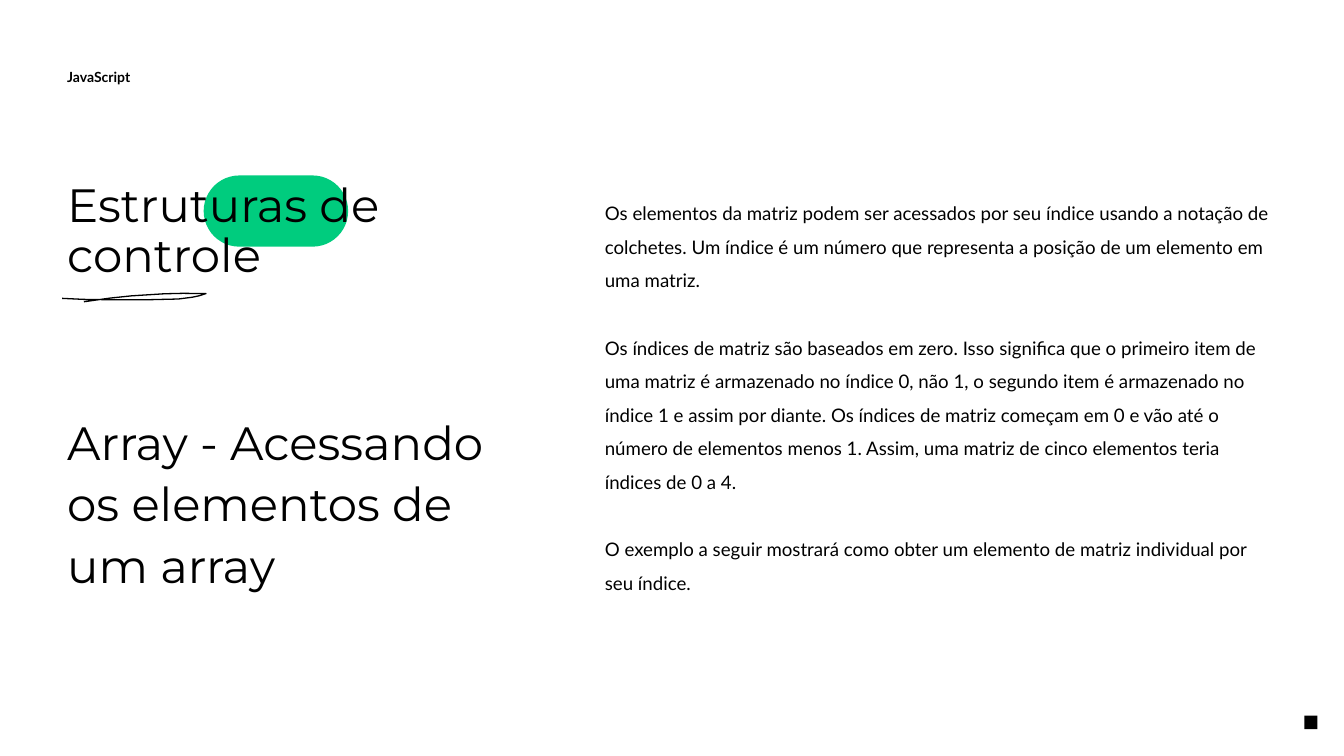
from pptx import Presentation
from pptx.dml.color import RGBColor
from pptx.enum import shapes, text
from pptx.oxml import parse_xml
from pptx.oxml.ns import nsdecls
from pptx.util import Pt

BLACK, GREEN = "000000", "00CC7E"

COURSE = ["JavaScript"]
HEADINGS = ["Estruturas de controle", "Array - Acessando os elementos de um array"]
EXPLANATION = [
    "Os elementos da matriz podem ser acessados por seu índice usando a notação de "
    "colchetes. Um índice é um número que representa a posição de um elemento em uma matriz.",
    "Os índices de matriz são baseados em zero. Isso significa que o primeiro item de uma "
    "matriz é armazenado no índice 0, não 1, o segundo item é armazenado no índice 1 e assim "
    "por diante. Os índices de matriz começam em 0 e vão até o número de elementos menos 1. "
    "Assim, uma matriz de cinco elementos teria índices de 0 a 4.",
    "O exemplo a seguir mostrará como obter um elemento de matriz individual por seu índice.",
]
UNDERLINE = [
    (66.6, 319.7), (90, 320.8), (115, 321.1), (161, 321.1), (191, 320.4),
    (206, 318.5), (214, 316.8), (220.7, 314.6), (196, 314.3), (176, 314.8),
    (141, 317), (118, 319.4), (90, 323.3),
]


def color(value):
    return RGBColor.from_string(value)


def place(shape, left, top, width, height):
    shape.left, shape.top = Pt(left), Pt(top)
    shape.width, shape.height = Pt(width), Pt(height)


def write(shape, paragraphs, font, size, spacings, gap=0, bold=False):
    """Fill a shape with unbulleted paragraphs, set apart by gap points."""
    frame = shape.text_frame
    frame.text = "\n".join(paragraphs)
    frame.word_wrap = True
    frame.auto_size = text.MSO_AUTO_SIZE.NONE
    frame.vertical_anchor = text.MSO_ANCHOR.TOP
    frame.margin_left = frame.margin_right = frame.margin_top = frame.margin_bottom = 0
    for index, (paragraph, spacing) in enumerate(zip(frame.paragraphs, spacings)):
        paragraph.alignment = text.PP_ALIGN.LEFT
        paragraph.line_spacing = spacing
        paragraph.space_before = Pt(gap if index else 0)
        paragraph.space_after = Pt(0)
        properties = paragraph._p.get_or_add_pPr()
        properties.set("marL", "0")
        properties.set("indent", "0")
        properties.append(parse_xml(f"<a:buNone {nsdecls('a')}/>"))
        paragraph.font.name = font
        paragraph.font.size = Pt(size)
        paragraph.font.bold = bold
        paragraph.font.color.rgb = color(BLACK)


def add_block(slide, kind, box, fill):
    block = slide.shapes.add_shape(kind, *map(Pt, box))
    block.shadow.inherit = False
    block.fill.solid()
    block.fill.fore_color.rgb = color(fill)
    block.line.fill.background()
    return block


def add_underline(slide, points):
    start, *rest = [(Pt(x), Pt(y)) for x, y in points]
    builder = slide.shapes.build_freeform(*start)
    builder.add_line_segments(rest, close=False)
    stroke = builder.convert_to_shape()
    stroke.shadow.inherit = False
    stroke.fill.background()
    stroke.line.color.rgb = color(BLACK)
    stroke.line.width = Pt(1.4)


def main():
    deck = Presentation()
    deck.slide_width, deck.slide_height = Pt(1440), Pt(810)
    slide = deck.slides.add_slide(deck.slide_layouts[1])
    title, body = slide.placeholders

    highlight = add_block(slide, shapes.MSO_SHAPE.ROUNDED_RECTANGLE,
                          (218.2, 188, 154.8, 76.3), GREEN)
    highlight.adjustments[0] = 0.5
    title._element.addprevious(highlight._element)  # behind the heading

    place(title, 72, 195, 504, 442)
    write(title, HEADINGS, "Montserrat", 50, [0.9, 1.1], gap=134)
    place(body, 648, 204.5, 720, 400)
    write(body, EXPLANATION, "Lato", 20, [1.5] * len(EXPLANATION), gap=36)

    add_underline(slide, UNDERLINE)
    course = slide.shapes.add_textbox(Pt(72), Pt(73.4), Pt(191.5), Pt(16))
    write(course, COURSE, "Lato", 15, [1], bold=True)
    add_block(slide, shapes.MSO_SHAPE.RECTANGLE, (1397.5, 766.8, 14, 14.4), BLACK)

    deck.save("out.pptx")


if __name__ == "__main__":
    main()
